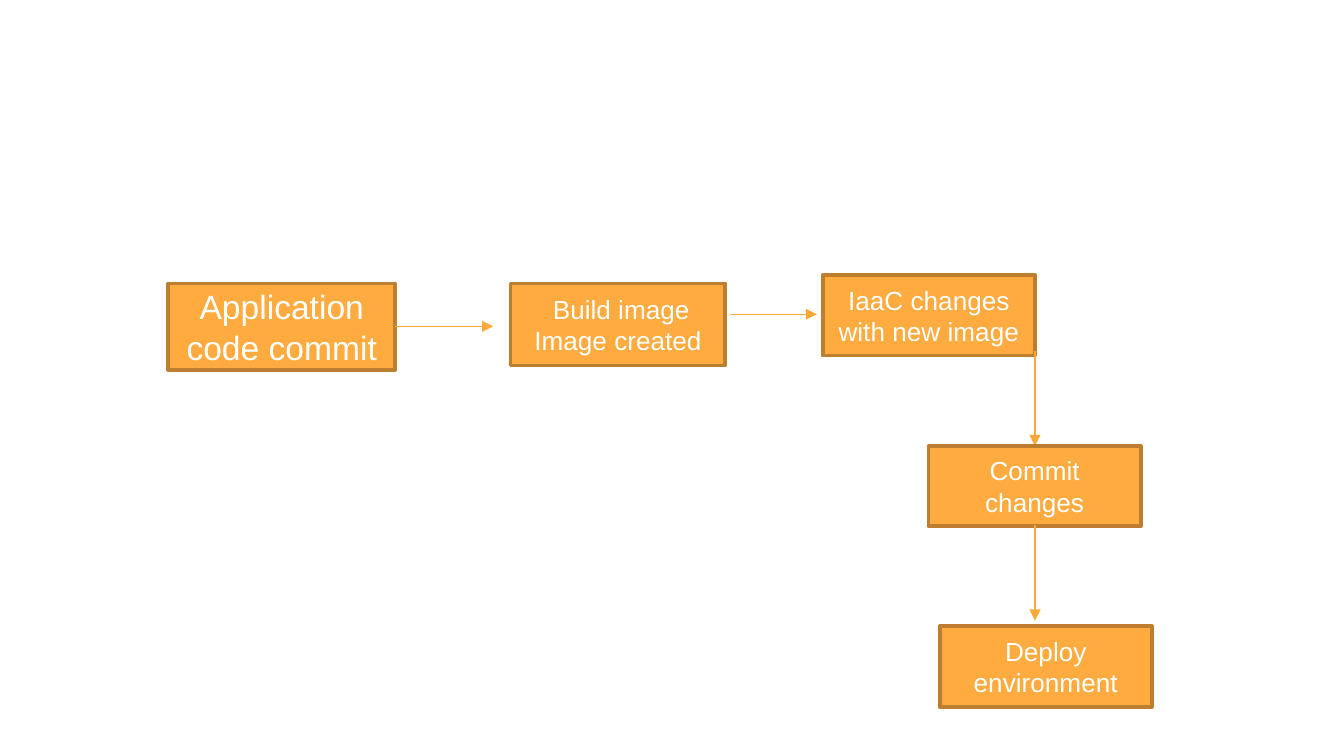
"""Build a slide showing the flow from code commit to deployment."""
from typing import NamedTuple

from lxml.etree import SubElement
from pptx import Presentation
from pptx.dml.color import RGBColor
from pptx.enum.shapes import MSO_CONNECTOR as CONN, MSO_SHAPE as SHAPE
from pptx.enum.text import MSO_ANCHOR as ANCHOR, PP_ALIGN as ALIGN
from pptx.oxml.ns import qn
from pptx.slide import Slide
from pptx.text.text import TextFrame
from pptx.util import Cm, Pt

ORANGE = RGBColor(0xFF, 0xAB, 0x40)
BROWN = RGBColor(0xBD, 0x7F, 0x2F)
ARROW = RGBColor(0xFE, 0xA8, 0x3A)
WHITE = RGBColor(0xFF, 0xFF, 0xFF)


class Step(NamedTuple):
    lines: tuple[str, ...]
    x: float
    y: float
    w: float = 4.01
    h: float = 1.52
    size: int = 14


class Arrow(NamedTuple):
    x1: float
    y1: float
    x2: float
    y2: float


FLOW = (
    Step(("Application code commit",), 3.18, 5.36, 4.29, 1.63, 18),
    Arrow(7.47, 6.17, 9.32, 6.17),
    Step(("Build image ", "Image created"), 9.65, 5.36, 4.06, 1.55),
    Arrow(13.79, 5.94, 15.44, 5.94),
    Step(("IaaC changes with new image",), 15.55, 5.2),
    Arrow(19.56, 6.63, 19.56, 8.43),
    Step(("Commit changes",), 17.55, 8.43),
    Arrow(19.56, 9.93, 19.56, 11.73),
    Step(("Deploy environment",), 17.76, 11.84),
)


def write(tf: TextFrame, lines: tuple[str, ...], *, size: int,
          color: RGBColor = WHITE, font: str = "Arial") -> None:
    tf.word_wrap = True
    tf.vertical_anchor = ANCHOR.MIDDLE
    for i, text in enumerate(lines):
        p = tf.add_paragraph() if i else tf.paragraphs[0]
        p.alignment = ALIGN.CENTER
        p._p.get_or_add_pPr().set("rtl", "1")
        r = p.add_run()
        r.text = text
        r.font.name = font
        r.font.size = Pt(size)
        r.font.color.rgb = color


def draw_step(s: Slide, step: Step) -> None:
    sp = s.shapes.add_shape(SHAPE.RECTANGLE, Cm(step.x), Cm(step.y),
                            Cm(step.w), Cm(step.h))
    sp.shadow.inherit = False
    sp.fill.solid()
    sp.fill.fore_color.rgb = ORANGE
    sp.line.color.rgb = BROWN
    sp.line.width = Pt(2)
    write(sp.text_frame, step.lines, size=step.size)


def draw_arrow(s: Slide, arrow: Arrow) -> None:
    cxn = s.shapes.add_connector(CONN.STRAIGHT, *map(Cm, arrow))
    cxn.line.color.rgb = ARROW
    cxn.line.width = Pt(0.75)
    SubElement(cxn.line._get_or_add_ln(), qn("a:tailEnd"), type="triangle")
    SubElement(cxn._element.spPr, qn("a:effectLst"))


def main() -> None:
    prs = Presentation()
    prs.slide_width, prs.slide_height = Cm(25.4), Cm(14.29)
    s = prs.slides.add_slide(prs.slide_layouts[6])
    for item in FLOW:
        if isinstance(item, Step):
            draw_step(s, item)
        else:
            draw_arrow(s, item)
    prs.save("out.pptx")


if __name__ == "__main__":
    main()
